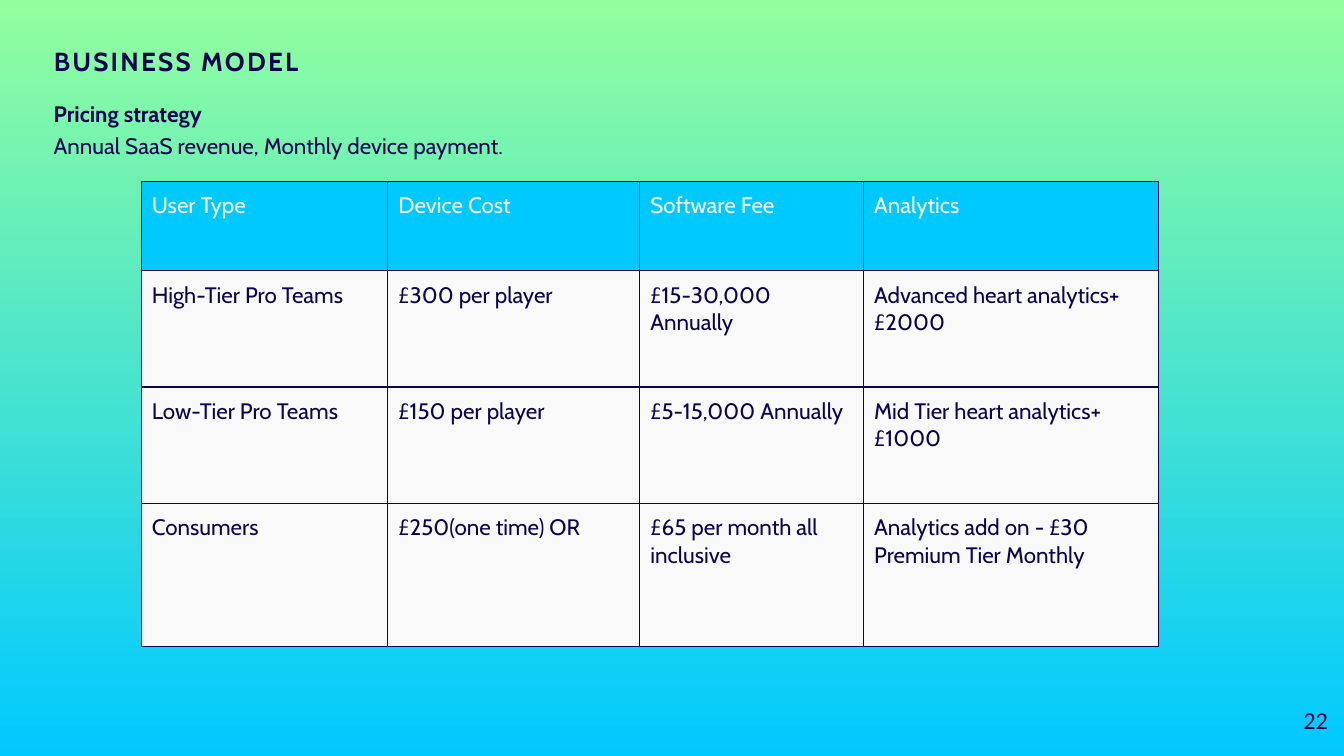
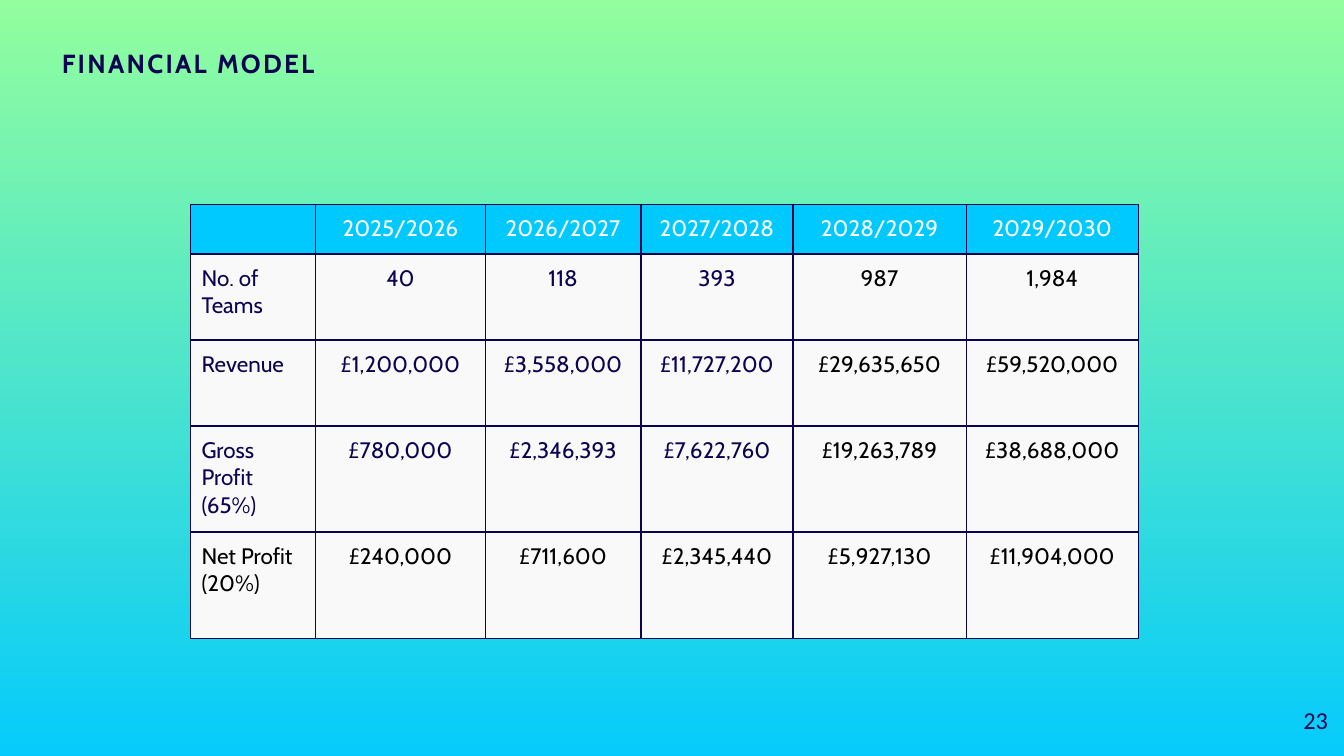
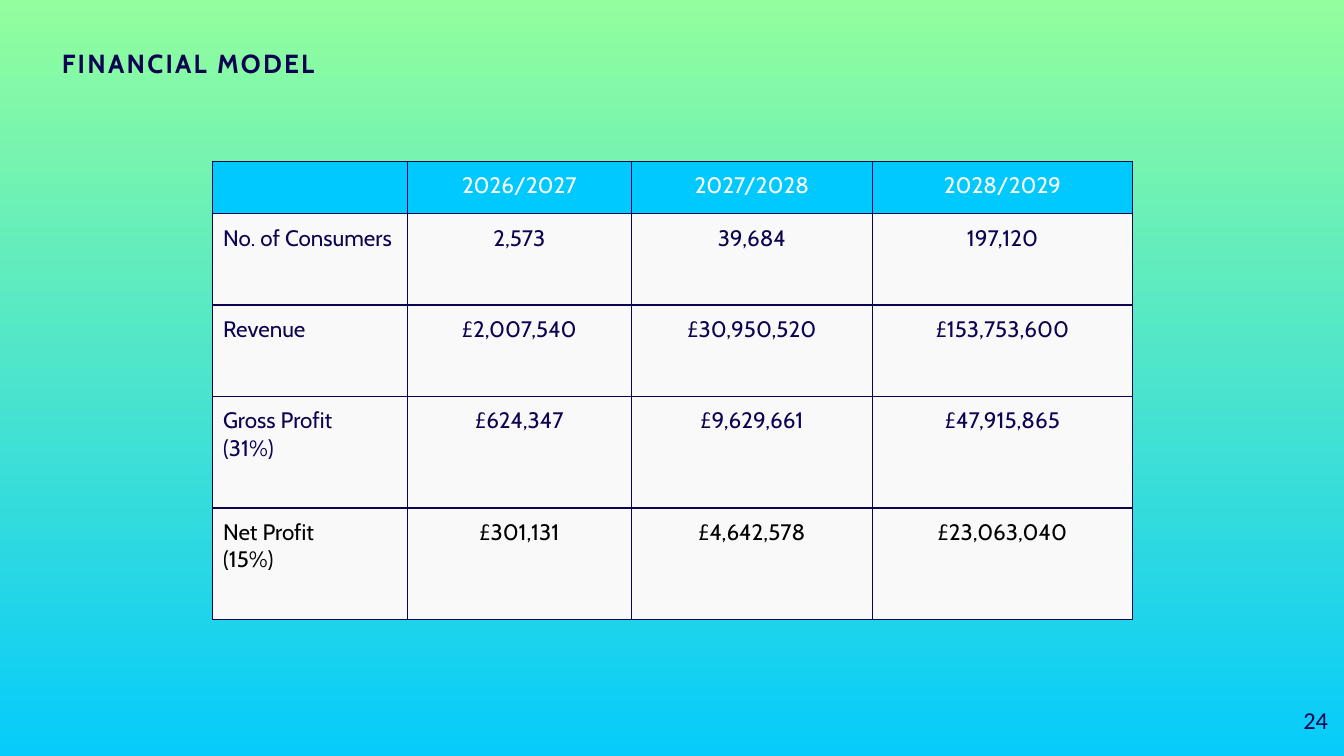
"""Build three pricing and finance slides."""
from lxml import etree
from pptx import Presentation, util as u
from pptx.dml.color import RGBColor
from pptx.enum import shapes, text
from pptx.oxml.ns import qn

NAVY = RGBColor(0x0D, 0x04, 0x51)
BLACK = RGBColor(0, 0, 0)
WHITE = RGBColor(0xFF, 0xFF, 0xFF)
MINT = RGBColor(0x92, 0xFE, 0x9D)
CYAN = RGBColor(0x00, 0xC9, 0xFF)
PALE = RGBColor(0xF9, 0xF9, 0xF9)
MIST = RGBColor(0xEC, 0xF4, 0xF9)

WIDE = u.Inches(10)
HIGH = WIDE * 9 // 16
PAD = u.Inches(0.08)
NONE = 99


def across(part):
    """Turn a percentage of the slide width into a length."""
    return round(WIDE * part / 100)


def down(part):
    """Turn a percentage of the slide height into a length."""
    return round(HIGH * part / 100)


def area(left, top, width, height):
    """Turn percentages of the slide into a position and size."""
    return across(left), down(top), across(width), down(height)


def style(para, size, color, bold=False, face="Cabin"):
    """Format all runs of a paragraph."""
    for run in para.runs:
        font = run.font
        font.name, font.size, font.bold = face, u.Pt(size), bold
        font.color.rgb = color


def inset(item, size):
    """Set the same margin on all four sides."""
    item.margin_left = item.margin_right = size
    item.margin_top = item.margin_bottom = size


def block(slide, place, words, lead):
    """Add a bottom-anchored text block without margins."""
    frame = slide.shapes.add_textbox(*area(*place)).text_frame
    frame.word_wrap = True
    frame.vertical_anchor = text.MSO_ANCHOR.BOTTOM
    inset(frame, 0)
    frame.text = words
    for para in frame.paragraphs:
        para.line_spacing = u.Pt(lead)
    return frame.paragraphs


def title(slide, left, top, words):
    """Add the spaced bold slide title."""
    para = block(slide, (left, top, 37.1, 4.09), words, 16.9)[0]
    style(para, 14, NAVY, True)
    for run in para.runs:
        run.font._element.set("spc", "120")


def number(slide, value):
    """Add the slide number at the bottom right."""
    frame = slide.shapes.add_textbox(*area(96, 92.44, 8.7, 5.87)).text_frame
    frame.word_wrap = True
    frame.text = str(value)
    style(frame.paragraphs[0], 13, NAVY, face="Calibri")


def page(deck, value, top=0, height=104.18):
    """Add a numbered slide with the gradient backdrop."""
    slide = deck.slides.add_slide(deck.slide_layouts[6])
    slide.background.fill.solid()
    slide.background.fill.fore_color.rgb = MIST
    back = slide.shapes.add_shape(
        shapes.MSO_SHAPE.ROUNDED_RECTANGLE, *area(0, top, 100, height))
    back.adjustments[0] = 0
    back.shadow.inherit = False
    back.line.fill.background()
    back.fill.gradient()
    back.fill.gradient_angle = 270
    for stop, color in zip(back.fill.gradient_stops, (MINT, CYAN)):
        stop.color.rgb = color
    number(slide, value)
    return slide


def border(cell):
    """Draw thin navy lines around a cell."""
    props = cell._tc.get_or_add_tcPr()
    for spot, side in enumerate(("lnL", "lnR", "lnT", "lnB")):
        line = etree.Element(qn("a:" + side), w=str(u.Pt(0.75)))
        fill = etree.SubElement(line, qn("a:solidFill"))
        etree.SubElement(fill, qn("a:srgbClr"), val=str(NAVY))
        props.insert(spot, line)


def fill_cell(cell, words, back, color, center):
    """Write and format one table cell."""
    inset(cell, PAD)
    cell.fill.solid()
    cell.fill.fore_color.rgb = back
    border(cell)
    cell.text_frame.text = words
    for para in cell.text_frame.paragraphs:
        if center:
            para.alignment = text.PP_ALIGN.CENTER
        style(para, 12, color)
        if not words:
            para._p.get_or_add_endParaRPr().set("sz", "1200")


def grid(slide, left, top, cols, rows, data, center=True,
         black_row=NONE, black_col=NONE):
    """Add a table, with black text from the given row and column on."""
    table = slide.shapes.add_table(
        len(rows), len(cols),
        *area(left, top, sum(cols), sum(rows))).table
    table.first_row = table.horz_banding = False
    for col, width in zip(table.columns, cols):
        col.width = across(width)
    for row, height in zip(table.rows, rows):
        row.height = down(height)
    for i, line in enumerate(data):
        for j, words in enumerate(line):
            dark = i >= black_row or j >= black_col
            color = WHITE if i == 0 else BLACK if dark else NAVY
            fill_cell(table.cell(i, j), words, PALE if i else CYAN,
                      color, center and j > 0)


def pricing(deck):
    """Build the pricing slide."""
    slide = page(deck, 22, height=100)
    paras = block(slide, (4, 12.62, 52.6, 8.36),
                  "Pricing strategy\n"
                  "Annual SaaS revenue, Monthly device payment.", 16.8)
    style(paras[0], 12, NAVY, True)
    style(paras[1], 12, NAVY)
    title(slide, 4, 6.04, "BUSINESS MODEL")
    grid(slide, 10.5, 24, (18.35, 18.75, 16.65, 21.95),
         (11.8, 15.4, 15.4, 18.9), (
             ("User Type", "Device Cost", "Software Fee", "Analytics"),
             ("High-Tier Pro Teams", "£300 per player",
              "£15-30,000 Annually", "Advanced heart analytics+£2000"),
             ("Low-Tier Pro Teams", "£150 per player",
              "£5-15,000 Annually", "Mid Tier heart analytics+£1000"),
             ("Consumers", "£250(one time) OR",
              "£65 per month all inclusive",
              "Analytics add on - £30 Premium Tier Monthly"),
         ), center=False)


def teams(deck):
    """Build the forecast slide for teams."""
    slide = page(deck, 23, top=-0.18)
    title(slide, 4.6, 6.4, "FINANCIAL MODEL")
    years = [f"{year}/{year + 1}" for year in range(2025, 2030)]
    grid(slide, 14.2, 27.02, (9.3, 12.6, 11.6, 11.3, 12.9, 12.8),
         (6.58, 11.38, 11.38, 14.04, 14.04), (
             ("", *years),
             ("No. of Teams", "40", "118", "393", "987", "1,984"),
             ("Revenue", "£1,200,000", "£3,558,000", "£11,727,200",
              "£29,635,650", "£59,520,000"),
             ("Gross Profit\n(65%)", "£780,000", "£2,346,393",
              "£7,622,760", "£19,263,789", "£38,688,000"),
             ("Net Profit\n(20%)", "£240,000", "£711,600",
              "£2,345,440", "£5,927,130", "£11,904,000"),
         ), black_row=4, black_col=4)


def buyers(deck):
    """Build the forecast slide for consumers."""
    slide = page(deck, 24)
    title(slide, 4.6, 6.4, "FINANCIAL MODEL")
    years = [f"{year}/{year + 1}" for year in range(2026, 2029)]
    grid(slide, 15.8, 21.33, (14.5, 16.7, 17.9, 19.4),
         (6.93, 12.09, 12.09, 14.76, 14.76), (
             ("", *years),
             ("No. of Consumers", "2,573", "39,684", "197,120"),
             ("Revenue", "£2,007,540", "£30,950,520", "£153,753,600"),
             ("Gross Profit\n(31%)", "£624,347", "£9,629,661",
              "£47,915,865"),
             ("Net Profit\n(15%)", "£301,131", "£4,642,578",
              "£23,063,040"),
         ), black_row=4)


def main():
    """Build and save the deck."""
    deck = Presentation()
    deck.slide_width, deck.slide_height = WIDE, HIGH
    pricing(deck)
    teams(deck)
    buyers(deck)
    deck.save("out.pptx")


if __name__ == "__main__":
    main()
